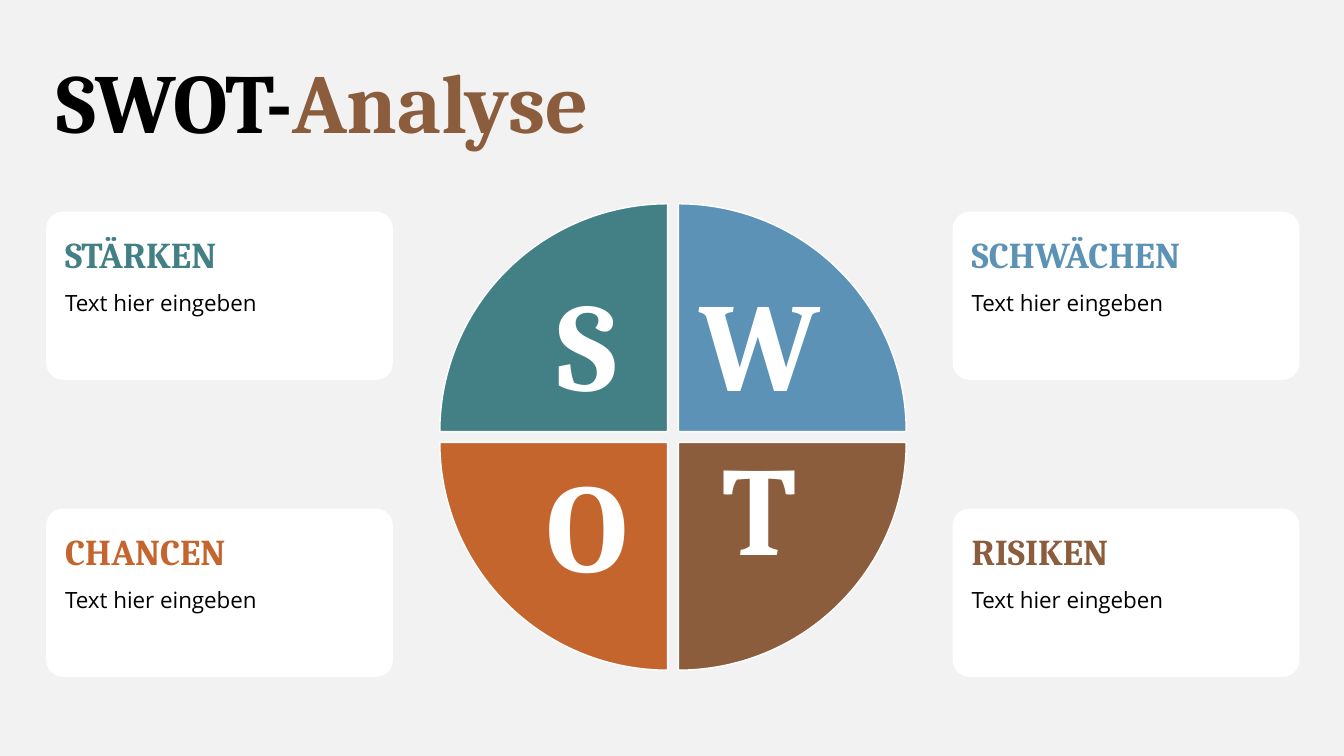
from pptx import Presentation
from pptx.dml.color import RGBColor
from pptx.enum import shapes, text
from pptx.util import Pt

SERIF, SANS = "Cambria", "Open Sans"
BLACK, WHITE, BROWN = "000000", "FFFFFF", "8B5D3D"
TOP, MID, LOW = (text.MSO_ANCHOR.TOP, text.MSO_ANCHOR.MIDDLE,
                 text.MSO_ANCHOR.BOTTOM)

PARTS = [
    ("S", "STÄRKEN", "438086", 0, 0, 0, MID, {}),
    ("W", "SCHWÄCHEN", "5C92B5", 1, 0, 90, MID, {"vert": "vert270"}),
    ("O", "CHANCEN", "C4652D", 0, 1, 270, TOP, {"vert": "vert"}),
    ("T", "RISIKEN", BROWN, 1, 1, 180, LOW, {"rot": "10800000"}),
]


def paint(fill, color):
    fill.solid()
    fill.fore_color.rgb = RGBColor.from_string(color)


def add_run(para, words, size, color, font=SERIF, bold=True):
    run = para.add_run()
    run.text = words
    run.font.name = font
    run.font.size = Pt(size)
    run.font.bold = bold
    paint(run.font.fill, color)


def set_frame(shape, side, edge, anchor):
    frame = shape.text_frame
    frame.word_wrap = True
    frame.vertical_anchor = anchor
    frame.margin_left = frame.margin_right = Pt(side)
    frame.margin_top = frame.margin_bottom = Pt(edge)
    return frame


def set_para(para, align=text.PP_ALIGN.LEFT, before=0):
    para.alignment = align
    para.line_spacing = 0.9
    para.space_before = Pt(before)
    return para


def add_form(slide, kind, x, y, w, h, color):
    form = slide.shapes.add_shape(kind, Pt(x), Pt(y), Pt(w), Pt(h))
    form.shadow.inherit = False
    paint(form.fill, color)
    form.line.fill.background()
    return form


def add_title(slide):
    box = slide.shapes.add_textbox(Pt(33), Pt(39.6), Pt(720.7), Pt(72))
    para = set_para(set_frame(box, 7.2, 3.6, MID).paragraphs[0])
    add_run(para, "SWOT-", 60, BLACK)
    add_run(para, "Analyse", 60, BROWN)


def add_card(slide, head, color, col, row):
    card = add_form(slide, shapes.MSO_SHAPE.ROUNDED_RECTANGLE,
                    33 + 647.5 * col, 151.2 + 212.1 * row, 247.7, 120.2, WHITE)
    card.adjustments[0] = 0.1
    frame = set_frame(card, 10, 14.4, TOP)
    add_run(set_para(frame.paragraphs[0]), head, 26, color)
    body = set_para(frame.add_paragraph(), before=11.3)
    add_run(body, "Text hier eingeben", 16, BLACK, SANS, False)


def add_wedge(slide, letter, color, col, row, turn, anchor, flow):
    size, step = 162.7, 170.4
    wedge = add_form(slide, shapes.MSO_SHAPE.PIE_WEDGE,
                     314.2 + step * col, 145.6 + step * row, size, size, color)
    wedge.rotation = turn
    paint(wedge.line.fill, WHITE)
    wedge.line.width = Pt(1)
    frame = set_frame(wedge, 15.1, 15.1, anchor)
    for key, value in flow.items():
        wedge.element.txBody.bodyPr.set(key, value)
    para = set_para(frame.paragraphs[0], text.PP_ALIGN.CENTER)
    add_run(para, letter, 90, WHITE)


def main():
    deck = Presentation()
    deck.slide_width, deck.slide_height = Pt(960), Pt(540)
    slide = deck.slides.add_slide(deck.slide_layouts[6])
    paint(slide.background.fill, "F2F2F2")
    add_title(slide)
    for letter, head, color, col, row, turn, anchor, flow in PARTS:
        add_card(slide, head, color, col, row)
        add_wedge(slide, letter, color, col, row, turn, anchor, flow)
    deck.save("out.pptx")


if __name__ == "__main__":
    main()
